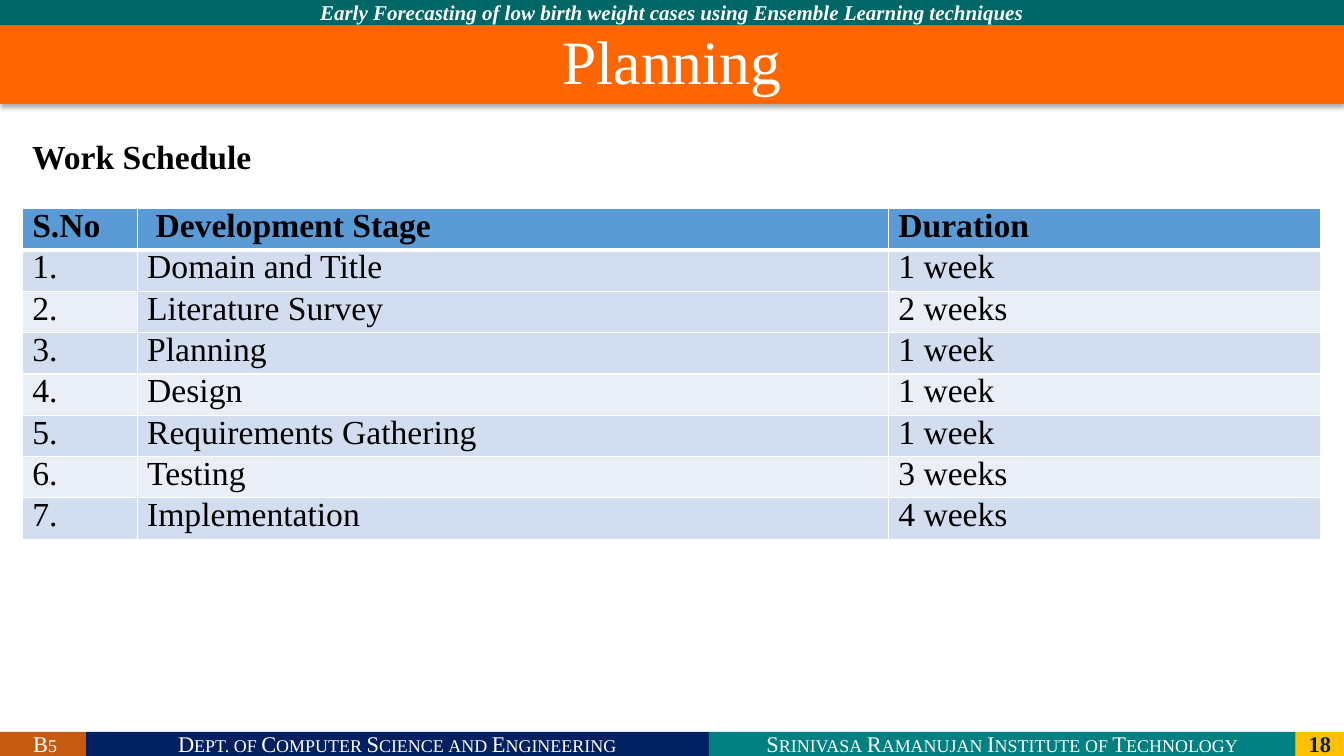
import pptx
import pptx.dml.color
import pptx.enum.shapes
import pptx.enum.text
import pptx.oxml
import pptx.oxml.ns
import pptx.util

Inches = pptx.util.Inches
Pt = pptx.util.Pt
RGBColor = pptx.dml.color.RGBColor
ALIGN = pptx.enum.text.PP_ALIGN
MIDDLE = pptx.enum.text.MSO_ANCHOR.MIDDLE

# Content
TITLE = "Planning"
HEADING = "Work Schedule"
PROJECT = "Early Forecasting of low birth weight cases using Ensemble Learning techniques"
SCHEDULE = [
    ("S.No", " Development Stage", "Duration"),
    ("1.", "Domain and Title", "1 week"),
    ("2.", "Literature Survey", "2 weeks"),
    ("3.", "Planning", "1 week"),
    ("4.", "Design", "1 week"),
    ("5.", "Requirements Gathering", "1 week"),
    ("6.", "Testing", "3 weeks"),
    ("7.", "Implementation", "4 weeks"),
]

# Style
FONT = "Times New Roman"
WHITE = RGBColor(0xFF, 0xFF, 0xFF)
BLACK = RGBColor(0x00, 0x00, 0x00)
NAVY = RGBColor(0x00, 0x20, 0x60)
TEAL = RGBColor(0x00, 0x80, 0x80)
DARK_TEAL = RGBColor(0x00, 0x66, 0x66)
GOLD = RGBColor(0xFF, 0xC0, 0x00)
RUST = RGBColor(0xC5, 0x5A, 0x11)
ORANGE = RGBColor(0xFF, 0x66, 0x00)
HEADER_BLUE = RGBColor(0x5B, 0x9B, 0xD5)
BAND_DARK = RGBColor(0xD2, 0xDE, 0xEF)
BAND_LIGHT = RGBColor(0xEA, 0xEF, 0xF7)

# Footer parts, left to right: text, width, fill, font colour, bold, small caps
FOOTER = [
    (" B5", 0.85, RUST, WHITE, False, True),
    ("Dept. of Computer Science and Engineering", 6.18, NAVY, WHITE, False, True),
    ("Srinivasa Ramanujan Institute of Technology", 5.82, TEAL, WHITE, False, True),
    ("18", 0.48, GOLD, NAVY, True, False),
]

# Geometry in inches
SLIDE_WIDTH, SLIDE_HEIGHT = 13.33, 7.5
BAR_HEIGHT = 0.25
FOOTER_HEIGHT = 0.24
TABLE_LEFT, TABLE_TOP = 0.22, 2.07
COLUMN_WIDTHS = [1.14, 7.45, 4.29]
ROW_HEIGHT = 0.41


def write(text_frame, text, size, color, alignment, bold=False, italic=False,
          small_caps=False, line_spacing=None):
    text_frame.text = text
    paragraph = text_frame.paragraphs[0]
    paragraph.alignment = alignment
    if line_spacing:
        paragraph.line_spacing = line_spacing
        paragraph.space_before = Pt(0)
    run = paragraph.runs[0]
    run.font.name = FONT
    run.font.size = Pt(size)
    run.font.color.rgb = color
    run.font.bold = bold
    run.font.italic = italic
    if small_caps:
        run._r.get_or_add_rPr().set("cap", "small")


def add_bar(slide, left, top, width, height, fill):
    shape = slide.shapes.add_shape(
        pptx.enum.shapes.MSO_SHAPE.RECTANGLE,
        Inches(left), Inches(top), Inches(width), Inches(height))
    shape.shadow.inherit = False
    shape.fill.solid()
    shape.fill.fore_color.rgb = fill
    shape.line.fill.background()
    shape.text_frame.word_wrap = True
    shape.text_frame.vertical_anchor = MIDDLE
    return shape


def add_shadow(shape):
    shape._element.spPr.append(pptx.oxml.parse_xml(
        f'<a:effectLst {pptx.oxml.ns.nsdecls("a")}>'
        f'<a:outerShdw blurRad="{Pt(3.5)}" dist="{Pt(2.2)}" dir="5400000" algn="t" rotWithShape="0">'
        '<a:srgbClr val="000000"><a:alpha val="32000"/></a:srgbClr>'
        '</a:outerShdw></a:effectLst>'))


def set_borders(cell, row):
    widths = {"lnL": 1, "lnR": 1, "lnT": 3 if row == 1 else 1, "lnB": 3 if row == 0 else 1}
    for position, (side, width) in enumerate(widths.items()):
        cell._tc.get_or_add_tcPr().insert(position, pptx.oxml.parse_xml(
            f'<a:{side} {pptx.oxml.ns.nsdecls("a")} w="{Pt(width)}">'
            f'<a:solidFill><a:srgbClr val="{WHITE}"/></a:solidFill></a:{side}>'))


def cell_fill(row, column):
    if row == 0:
        return HEADER_BLUE
    if row % 2 or (row, column) == (2, 1):
        return BAND_DARK
    return BAND_LIGHT


def add_schedule(slide):
    table = slide.shapes.add_table(
        len(SCHEDULE), len(COLUMN_WIDTHS), Inches(TABLE_LEFT), Inches(TABLE_TOP),
        Inches(sum(COLUMN_WIDTHS)), Inches(ROW_HEIGHT * len(SCHEDULE))).table
    for column, width in enumerate(COLUMN_WIDTHS):
        table.columns[column].width = Inches(width)
    for row, texts in enumerate(SCHEDULE):
        table.rows[row].height = Inches(ROW_HEIGHT)
        for column, text in enumerate(texts):
            cell = table.cell(row, column)
            cell.fill.solid()
            cell.fill.fore_color.rgb = cell_fill(row, column)
            set_borders(cell, row)
            write(cell.text_frame, text, 24, BLACK, ALIGN.JUSTIFY,
                  bold=row == 0, line_spacing=0.8)


def main():
    presentation = pptx.Presentation()
    presentation.slide_width = Inches(SLIDE_WIDTH)
    presentation.slide_height = Inches(SLIDE_HEIGHT)
    slide = presentation.slides.add_slide(presentation.slide_layouts[5])

    # Footer
    left = 0
    for text, width, fill, color, bold, small_caps in FOOTER:
        bar = add_bar(slide, left, SLIDE_HEIGHT - FOOTER_HEIGHT, width, FOOTER_HEIGHT, fill)
        write(bar.text_frame, text, 16, color, ALIGN.CENTER, bold, small_caps=small_caps)
        left += width

    # Project name across the top
    bar = add_bar(slide, 0, 0, SLIDE_WIDTH, BAR_HEIGHT, DARK_TEAL)
    write(bar.text_frame, PROJECT, 15, WHITE, ALIGN.CENTER, bold=True, italic=True)

    # Title band
    title = slide.shapes.title
    title.left, title.top = Inches(0), Inches(BAR_HEIGHT)
    title.width, title.height = Inches(SLIDE_WIDTH), Inches(0.78)
    title.fill.solid()
    title.fill.fore_color.rgb = ORANGE
    add_shadow(title)
    title.text_frame.vertical_anchor = MIDDLE
    write(title.text_frame, TITLE, 44, WHITE, ALIGN.CENTER, line_spacing=0.9)

    # Work schedule
    add_schedule(slide)
    heading = slide.shapes.add_textbox(Inches(TABLE_LEFT), Inches(1.38), Inches(6.76), Inches(0.42))
    heading.text_frame.word_wrap = True
    write(heading.text_frame, HEADING, 24, BLACK, ALIGN.JUSTIFY, bold=True, line_spacing=0.8)

    presentation.save("out.pptx")


if __name__ == "__main__":
    main()
